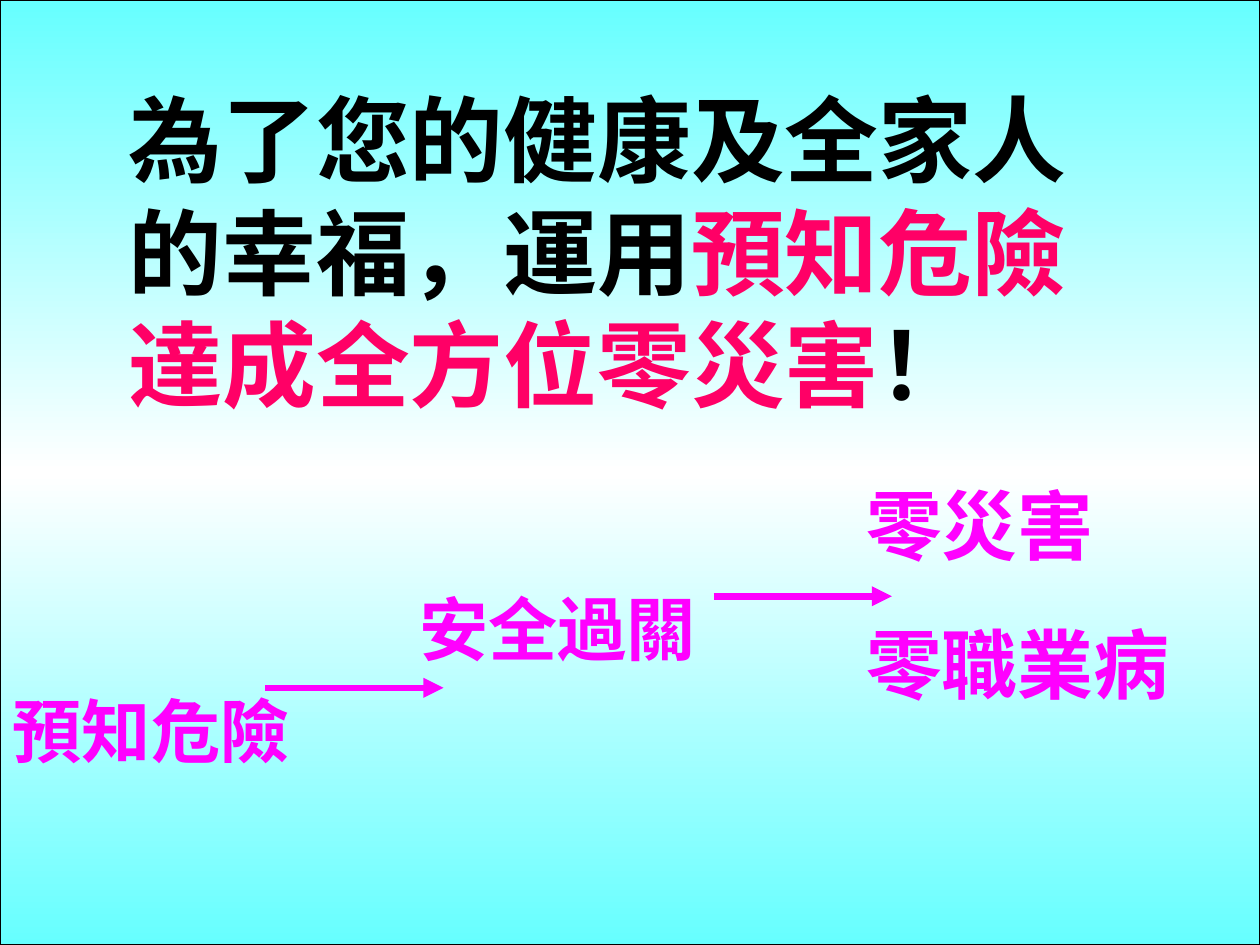
from copy import deepcopy
from dataclasses import dataclass

from lxml.etree import SubElement
from pptx import Presentation
from pptx.dml.color import RGBColor
from pptx.enum.shapes import MSO_CONNECTOR, MSO_SHAPE
from pptx.enum.text import MSO_ANCHOR, MSO_AUTO_SIZE, PP_ALIGN
from pptx.oxml.ns import qn
from pptx.util import Inches, Pt

SIZE = (7.84, 5.88)
TITLE_BOX = (0.72, 0.47, 6.49, 2.18)
TITLE_RUNS = [
    ("為了您的健康及全家人的幸福，運用", "ink"),
    ("預知危險 達成全方位零災害", "accent"),
    ("！", "ink"),
]
STEPS = [
    ("預知危險", (0, 4.24, 2.11, 0.6)),
    ("安全過關", (2.53, 3.61, 2.68, 0.6)),
]
GOALS = ["零災害", "零職業病"]
GOALS_BOX = (5.31, 2.94, 2.53, 2.37)
ARROWS = [(1.65, 4.28), (4.44, 3.71)]
ARROW_LENGTH = 1.11


@dataclass(frozen=True)
class Theme:
    ink: RGBColor = RGBColor(0, 0, 0)
    accent: RGBColor = RGBColor(0xFF, 0x00, 0x66)
    step: RGBColor = RGBColor(0xFF, 0x00, 0xFF)
    sky: RGBColor = RGBColor(0x66, 0xFF, 0xFF)
    white: RGBColor = RGBColor(0xFF, 0xFF, 0xFF)
    title_font: str = "Noto Sans CJK SC"
    step_font: str = "Arial"
    title_size: float = 42
    step_size: float = 31
    goal_size: float = 34
    goal_gap: float = 21.3


THEME = Theme()


def style(r, font, size, color):
    r.font.size, r.font.bold, r.font.name = Pt(size), True, font
    r.font.color.rgb = color
    SubElement(r.font._element, qn("a:ea"), typeface=font)


def place(sp, box):
    sp.left, sp.top, sp.width, sp.height = map(Inches, box)
    tf = sp.text_frame
    tf.word_wrap, tf.auto_size = True, MSO_AUTO_SIZE.NONE
    tf.vertical_anchor = MSO_ANCHOR.TOP
    tf.margin_left = tf.margin_right = Inches(0.08)
    tf.margin_top = tf.margin_bottom = Inches(0.04)
    return tf


def add_background(s):
    sp = s.shapes.add_shape(MSO_SHAPE.RECTANGLE, 0, 0, *map(Inches, SIZE))
    sp.shadow.inherit = False
    sp.fill.gradient()
    sp.fill.gradient_angle = 90
    first = sp.fill.gradient_stops[0]._gs
    first.addnext(deepcopy(first))
    colors = (THEME.sky, THEME.white, THEME.sky)
    for stop, position, color in zip(sp.fill.gradient_stops, (0, 0.5, 1), colors):
        stop.position, stop.color.rgb = position, color
    sp.line.color.rgb, sp.line.width = THEME.ink, Pt(0.75)
    s.shapes._spTree.insert(2, sp._element)


def add_title(s):
    p = place(s.shapes.title, TITLE_BOX).paragraphs[0]
    p.alignment = PP_ALIGN.LEFT
    for text, color in TITLE_RUNS:
        r = p.add_run()
        r.text = text
        style(r, THEME.title_font, THEME.title_size, getattr(THEME, color))


def add_goals(s):
    tf = place(s.placeholders[1], GOALS_BOX)
    tf.text = "\n".join(GOALS)
    for i, p in enumerate(tf.paragraphs):
        pPr = p._p.get_or_add_pPr()
        pPr.set("marL", "0")
        pPr.set("indent", "0")
        SubElement(pPr, qn("a:buNone"))
        p.space_before = Pt(THEME.goal_gap if i else 0)
        style(p.runs[0], THEME.step_font, THEME.goal_size, THEME.step)


def add_step(s, text, box):
    tf = place(s.shapes.add_textbox(0, 0, 0, 0), box)
    tf.text = text
    style(tf.paragraphs[0].runs[0], THEME.step_font, THEME.step_size, THEME.step)


def add_arrow(s, x, y):
    ends = map(Inches, (x, y, x + ARROW_LENGTH, y))
    arrow = s.shapes.add_connector(MSO_CONNECTOR.STRAIGHT, *ends)
    arrow.line.color.rgb, arrow.line.width = THEME.step, Pt(3)
    SubElement(arrow.line._get_or_add_ln(), qn("a:tailEnd"), type="triangle")
    SubElement(arrow._element.spPr, qn("a:effectLst"))


def main():
    """Build the hazard prediction slide."""
    prs = Presentation()
    prs.slide_width, prs.slide_height = map(Inches, SIZE)
    s = prs.slides.add_slide(prs.slide_layouts[1])
    add_background(s)
    add_title(s)
    for text, box in STEPS:
        add_step(s, text, box)
    for x, y in ARROWS:
        add_arrow(s, x, y)
    add_goals(s)
    prs.save("out.pptx")


if __name__ == "__main__":
    main()
